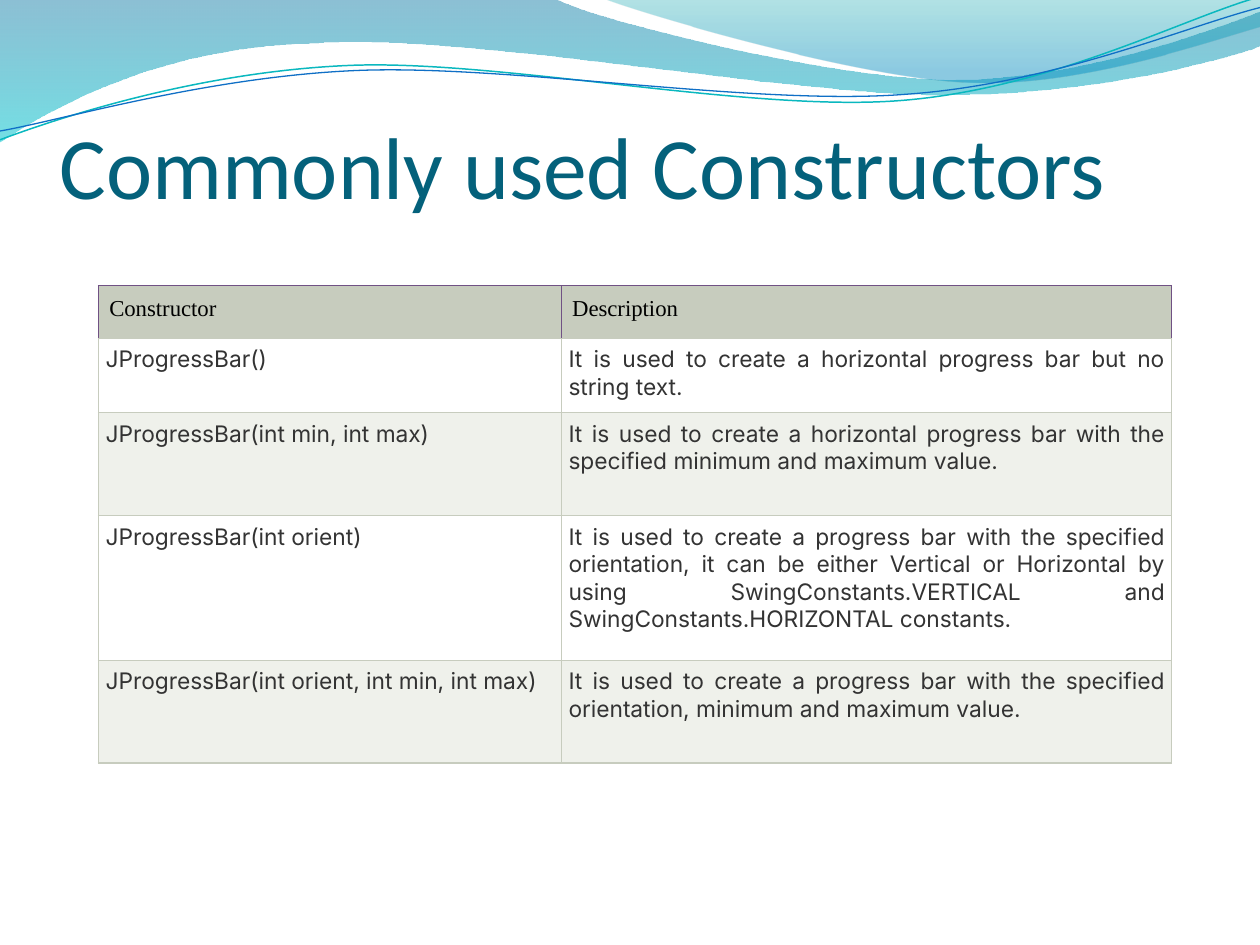
from lxml.etree import SubElement
from pptx import Presentation
from pptx.dml.color import RGBColor
from pptx.enum.text import MSO_ANCHOR as Anchor, MSO_AUTO_SIZE as AutoSize, PP_ALIGN as Align
from pptx.oxml.ns import qn
from pptx.util import Pt

INK, PURPLE, SAGE, PALE, WHITE = "333333", "705184", "C7CCBE", "EFF1EB", "FFFFFF"

BROAD_WAVE = [
    (0, 0), (316.8, -0.72),
    (342.72, 12.24, 478.08, 45.36, 545.76, 45.36),
    (614.16, 45.36, 689.76, 18.72, 720, 6.48),
    (720.72, 25.92),
    (707.76, 31.68, 626.4, 54.72, 537.12, 54),
    (447.84, 54, 275.04, 20.16, 185.04, 24.48),
    (92.88, 25.92, 33.12, 59.76, -0.72, 81.36),
    (0, 0),
]
CORNER_WAVE = [
    (344.88, -0.72),
    (366.48, 7.92, 491.04, 44.64, 553.68, 46.8),
    (616.32, 49.68, 691.92, 23.04, 720, 15.12),
    (720, 0), (344.88, -0.72),
]
TEAL_LINE = [
    (0, 79.92),
    (34.56, 66.96, 113.76, 41.04, 199.44, 37.44),
    (284.4, 33.84, 426.96, 64.08, 513.36, 57.6),
    (599.76, 51.12, 675.36, 10.8, 718.56, -1.44),
]
BLUE_LINE = [
    (0, 74.88),
    (33.84, 69.12, 118.08, 43.92, 203.76, 40.32),
    (290.16, 36.72, 429.84, 60.48, 516.24, 54),
    (601.92, 48.24, 677.52, 15.12, 720, 4.32),
]

COLUMN_WIDTHS = [264.5, 348.8]
ROW_HEIGHTS = [30.24, 42.48, 58.8, 82.6, 58.8]
ROWS = [
    ("Constructor", "Description"),
    ("JProgressBar()",
     "It is used to create a horizontal progress bar but no string text."),
    ("JProgressBar(int min, int max)",
     "It is used to create a horizontal progress bar with the specified minimum and maximum value."),
    ("JProgressBar(int orient)",
     "It is used to create a progress bar with the specified orientation, it can be either Vertical "
     "or Horizontal by using SwingConstants.VERTICAL and SwingConstants.HORIZONTAL constants."),
    ("JProgressBar(int orient, int min, int max)",
     "It is used to create a progress bar with the specified orientation, minimum and maximum value."),
]


def color(value):
    """Turn a hex string into a colour."""
    return RGBColor.from_string(value)


def write_text(frame, text, *, font, size, ink, align=Align.LEFT):
    """Put one formatted paragraph into a text frame."""
    frame.word_wrap = True
    paragraph = frame.paragraphs[0]
    paragraph.alignment = align
    run = paragraph.add_run()
    run.text = text
    run.font.name = font
    run.font.size = Pt(size)
    run.font.color.rgb = color(ink)


def bend_segments(shape, outline):
    """Join each three segments of a curved step into one cubic curve."""
    segments = iter(list(shape.element.iter(qn("a:lnTo"))))
    for step in outline[1:]:
        first = next(segments)
        if len(step) == 6:
            first.tag = qn("a:cubicBezTo")
            for _ in range(2):
                segment = next(segments)
                first.append(segment[0])
                segment.getparent().remove(segment)


def add_outline(slide, outline, closed):
    """Add a freeform that follows straight and cubic steps."""
    points = [(Pt(x), Pt(y)) for step in outline for x, y in zip(step[::2], step[1::2])]
    builder = slide.shapes.build_freeform(*points[0])
    builder.add_line_segments(points[1:], close=closed)
    shape = builder.convert_to_shape()
    bend_segments(shape, outline)
    shape.shadow.inherit = False
    return shape


def add_wave(slide, outline, stops):
    """Add a translucent wave with a gradient from top to bottom."""
    shape = add_outline(slide, outline, True)
    shape.line.fill.background()
    shape.fill.gradient()
    shape.fill.gradient_angle = 270
    for stop, (position, value, _) in zip(shape.fill.gradient_stops, stops):
        stop.position = position
        stop.color.rgb = color(value)
    tints = shape.element.spPr.iter(qn("a:srgbClr"))
    for tint, (_, _, opacity) in zip(tints, stops):
        SubElement(tint, qn("a:alpha"), val=str(opacity * 1000))


def add_wave_line(slide, outline, value, width):
    """Add a thin curved line."""
    shape = add_outline(slide, outline, False)
    shape.fill.background()
    shape.line.color.rgb = color(value)
    shape.line.width = Pt(width)


def fill_title(title, text):
    """Place and format the title in front of the waves."""
    title.element.getparent().append(title.element)
    title.left, title.top, title.width, title.height = Pt(34), Pt(34), Pt(648), Pt(90)
    frame = title.text_frame
    frame.auto_size = AutoSize.NONE
    frame.vertical_anchor = Anchor.BOTTOM
    frame.margin_left = frame.margin_right = frame.margin_bottom = 0
    frame.margin_top = Pt(3.6)
    write_text(frame, text, font="Calibri", size=50, ink="04617B")


def set_borders(cell, side_color, top_color):
    """Draw the four borders of a cell."""
    properties = cell._tc.get_or_add_tcPr()
    edges = {"a:lnL": side_color, "a:lnR": side_color, "a:lnT": top_color, "a:lnB": SAGE}
    for index, (tag, value) in enumerate(edges.items()):
        line = properties.makeelement(qn(tag), {"w": str(Pt(0.75))})
        SubElement(SubElement(line, qn("a:solidFill")), qn("a:srgbClr"), val=value)
        properties.insert(index, line)


def format_cell(cell, text, row):
    """Fill one table cell in header or body style."""
    header = row == 0
    margin = Pt(6.25 if header else 4.2)
    cell.margin_left = cell.margin_right = cell.margin_top = cell.margin_bottom = margin
    cell.vertical_anchor = Anchor.TOP
    cell.fill.solid()
    cell.fill.fore_color.rgb = color(SAGE if header else WHITE if row % 2 else PALE)
    if header:
        set_borders(cell, PURPLE, PURPLE)
        write_text(cell.text_frame, text, font="Times New Roman", size=13, ink="000000")
    else:
        set_borders(cell, SAGE, SAGE)
        write_text(cell.text_frame, text, font="Inter", size=13, ink=INK, align=Align.JUSTIFY)


def add_constructor_table(slide):
    """Add the table of constructors."""
    frame = slide.shapes.add_table(
        len(ROWS), len(COLUMN_WIDTHS), Pt(56.2), Pt(163.2),
        Pt(sum(COLUMN_WIDTHS)), Pt(sum(ROW_HEIGHTS)))
    table = frame.table
    table.first_row = table.horz_banding = False
    for column, width in zip(table.columns, COLUMN_WIDTHS):
        column.width = Pt(width)
    for row, (height, texts) in enumerate(zip(ROW_HEIGHTS, ROWS)):
        table.rows[row].height = Pt(height)
        for column, text in enumerate(texts):
            format_cell(table.cell(row, column), text, row)


def main():
    """Build and save the slide."""
    presentation = Presentation()
    presentation.slide_width, presentation.slide_height = Pt(720), Pt(540)
    slide = presentation.slides.add_slide(presentation.slide_layouts[5])
    slide.background.fill.solid()
    slide.background.fill.fore_color.rgb = color(WHITE)
    add_wave(slide, BROAD_WAVE, [(0, "0074A1", 45), (1, "00C6CF", 55)])
    add_wave(slide, CORNER_WAVE, [(0, "00A1A9", 30), (0.8, "008BBF", 45)])
    add_wave_line(slide, TEAL_LINE, "0AB8BF", 0.85)
    add_wave_line(slide, BLUE_LINE, "0F6FC6", 0.75)
    fill_title(slide.shapes.title, "Commonly used Constructors")
    add_constructor_table(slide)
    presentation.save("out.pptx")


if __name__ == "__main__":
    main()
